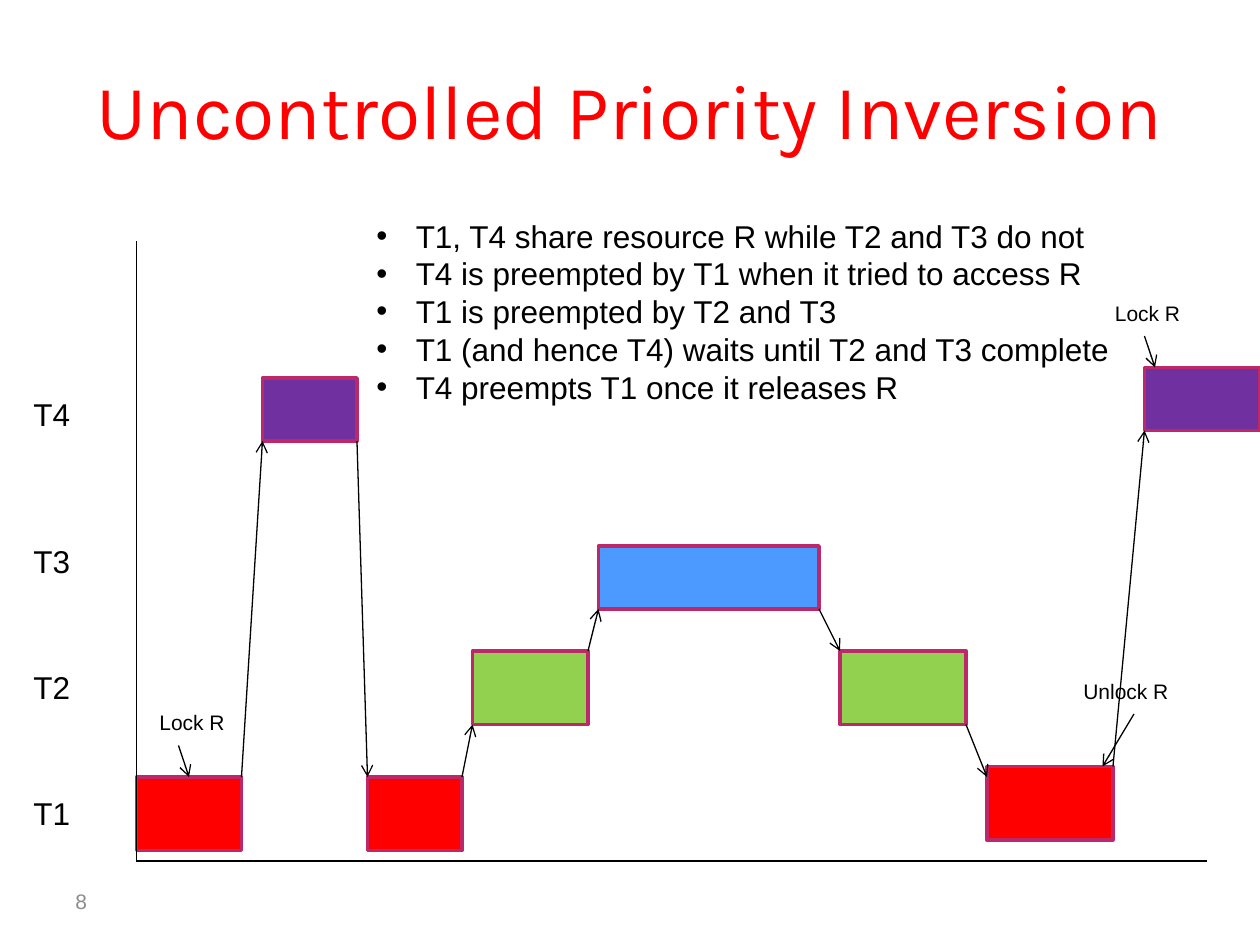
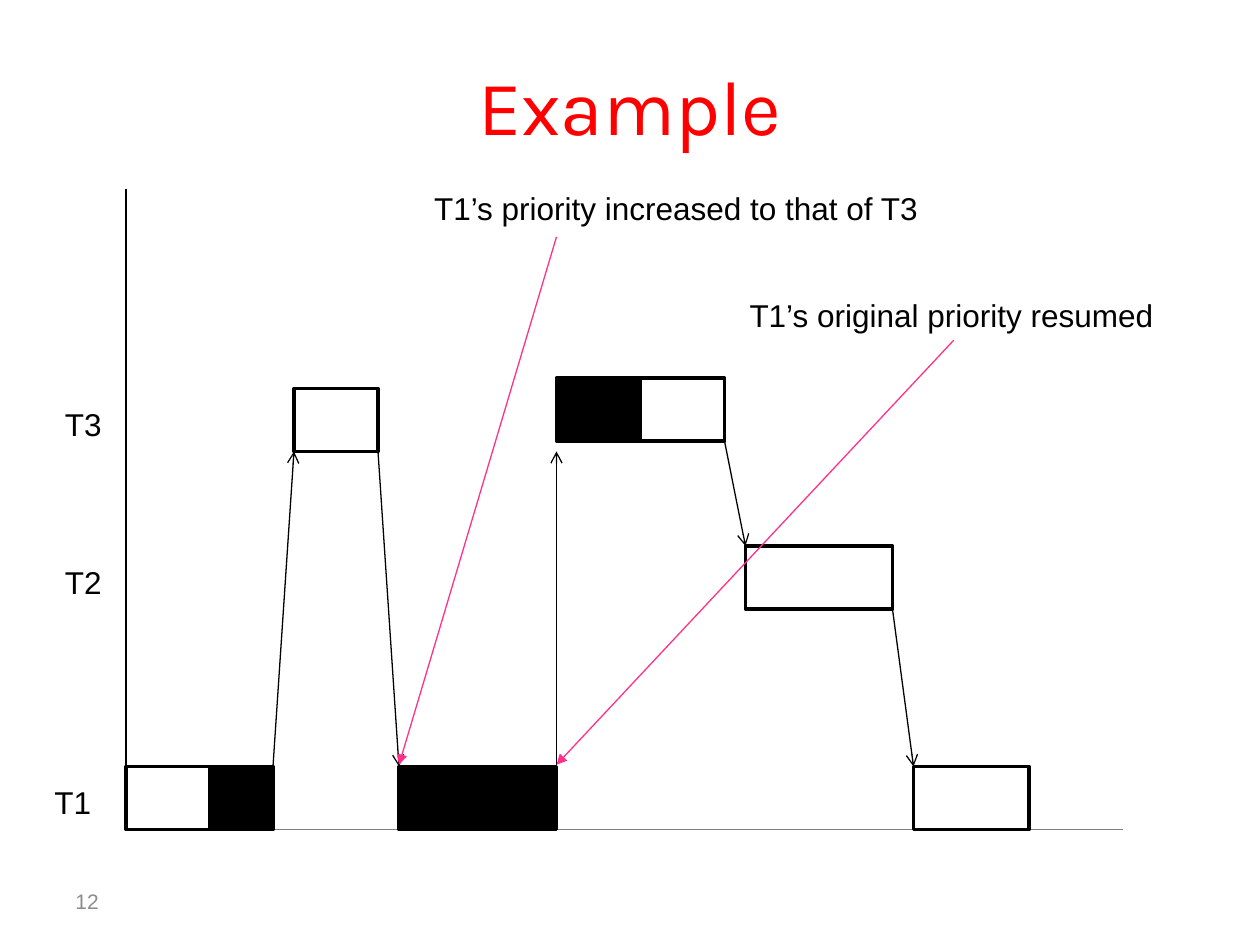
import pptx
import pptx.dml.color
import pptx.enum.shapes
import pptx.enum.text
import pptx.oxml
import pptx.oxml.ns
import pptx.util

Pt = pptx.util.Pt
rgb = pptx.dml.color.RGBColor.from_string
align = pptx.enum.text.PP_ALIGN
anchor = pptx.enum.text.MSO_ANCHOR
rect = pptx.enum.shapes.MSO_SHAPE.RECTANGLE
straight = pptx.enum.shapes.MSO_CONNECTOR.STRAIGHT

BLACK, WHITE, GREY = "000000", "FFFFFF", "8C8C8C"
RED, PURPLE, BLUE, GREEN = "FF0000", "7030A0", "4C99FF", "92D050"
ROSE, PINK = "BD2968", "FE3288"


def write(slide, spot, lines, size=18, font="Arial", color=BLACK,
          mid=False, wrap=True):
    """Add a text box at spot (left, top, width, height), one paragraph a line."""
    frame = slide.shapes.add_textbox(*map(Pt, spot)).text_frame
    frame.word_wrap = wrap
    if mid:
        frame.vertical_anchor = anchor.MIDDLE
    for i, line in enumerate(lines):
        para = frame.paragraphs[0] if i == 0 else frame.add_paragraph()
        run = para.add_run()
        run.text = line
        run.font.size = Pt(size)
        run.font.name = font
        run.font.color.rgb = rgb(color)
    return frame


def link(slide, start, end, color=BLACK, head=None):
    """Draw a thin line from start to end, with an arrowhead if head is named."""
    line = slide.shapes.add_connector(straight, *map(Pt, start + end))
    line.line.color.rgb = rgb(color)
    line.line.width = Pt(0.75)
    if head:
        tail = pptx.oxml.parse_xml(
            f'<a:tailEnd {pptx.oxml.ns.nsdecls("a")} type="{head}"/>')
        line.line._get_or_add_ln().append(tail)
    line._element.spPr.append(pptx.oxml.parse_xml(
        f'<a:effectLst {pptx.oxml.ns.nsdecls("a")}/>'))
    return line


# Tasks run in time order: left, top, width, height, fill, and how far
# below the usual corner the incoming arrow lands.
pages = [
    dict(title="Uncontrolled Priority Inversion", top=21.6, number="8",
         edge=ROSE, axis=(78, 138), base=(690, 492), ink=BLACK, wrap=True,
         names=[("T1", 12, 450), ("T2", 12, 378), ("T3", 12, 306),
                ("T4", 12, 222)],
         tasks=[(78, 444, 60, 42, RED, 0), (150, 216, 54, 36, PURPLE, 0),
                (210, 444, 54, 42, RED, 0), (270, 372, 66, 42, GREEN, 0),
                (342, 312, 126, 36, BLUE, 0), (480, 372, 72, 42, GREEN, 0),
                (564, 438, 72, 42, RED, 6), (654, 210, 66, 36, PURPLE, 0)]),
    dict(title="Example", top=19.4, number="12",
         edge=BLACK, axis=(72, 108), base=(642, 474), ink="808080", wrap=False,
         names=[("T1", 24, 444), ("T2", 30, 318), ("T3", 30, 228)],
         tasks=[(72, 438, 48, 36, WHITE, 0), (120, 438, 36, 36, BLACK, 0),
                (168, 222, 48, 36, WHITE, 0), (228, 438, 90, 36, BLACK, 0),
                (318, 216, 48, 36, BLACK, 6), (366, 216, 48, 36, WHITE, 0),
                (426, 312, 84, 36, WHITE, 0), (522, 438, 66, 36, WHITE, 0)]),
]

deck = pptx.Presentation()
deck.slide_width, deck.slide_height = Pt(720), Pt(540)
slides, firsts = [], []

for page in pages:
    slide = deck.slides.add_slide(deck.slide_layouts[6])
    slides.append(slide)
    title = write(slide, (36, page["top"], 648, 81), [page["title"]], 44,
                  "Karla", RED, mid=True)
    title.paragraphs[0].alignment = align.CENTER
    write(slide, (36, 500.5, 168, 28.8), [page["number"]], 12,
          color=GREY, mid=True)

    left, top = page["axis"]
    right, floor = page["base"]
    link(slide, (left, floor), (right, floor), page["ink"])

    boxes = []
    for x, y, wide, high, fill, drop in page["tasks"]:
        box = slide.shapes.add_shape(rect, Pt(x), Pt(y), Pt(wide), Pt(high))
        box.shadow.inherit = False
        box.fill.solid()
        box.fill.fore_color.rgb = rgb(fill)
        box.line.color.rgb = rgb(page["edge"])
        box.line.width = Pt(2)
        boxes.append(box)
    firsts.append(boxes[0])
    link(slide, (left, top), (left, floor))

    # Each switch leaves by the near right corner and enters by the near left one.
    for old, new in zip(page["tasks"], page["tasks"][1:]):
        x, y, wide, high = old[:4]
        nx, ny, _, tall, _, drop = new
        if ny < y:
            link(slide, (x + wide, y), (nx, ny + tall + drop), head="arrow")
        elif ny > y:
            link(slide, (x + wide, y + high), (nx, ny + drop), head="arrow")

    for name, x, y in page["names"]:
        write(slide, (x, y, 60 if page["wrap"] else 36, 29), [name],
              wrap=page["wrap"])

# Uncontrolled inversion: lock events and the bullet list
slide = slides[0]
events = [("Lock R", (84, 402), 54, (102, 426), (108, 444)),
          ("Unlock R", (612, 384), 72, (648, 408), (630, 438)),
          ("Lock R", (630, 168), 54, (654, 192), (660, 210))]
marks = []
for label, (x, y), wide, start, end in events:
    write(slide, (x, y, wide, 21.6), [label], 12)
    marks.append(link(slide, start, end, head="arrow"))
marks[0].end_connect(firsts[0], 0)

notes = write(slide, (208, 120.2, 437, 116.6), [
    "T1, T4 share resource R while T2 and T3 do not",
    "T4 is preempted by T1 when it tried to access R",
    "T1 is preempted by T2 and T3",
    "T1 (and hence T4) waits until T2 and T3 complete",
    "T4 preempts T1 once it releases R"], wrap=False)
for para in notes.paragraphs:
    props = para._p.get_or_add_pPr()
    props.set("marL", str(Pt(22.5)))
    props.set("indent", str(Pt(-22.5)))
    for tag in ('buFont {} typeface="Arial"', 'buChar {} char="•"'):
        props.append(pptx.oxml.parse_xml(
            "<a:" + tag.format(pptx.oxml.ns.nsdecls("a")) + "/>"))

# Example: where the priority of T1 changes
slide = slides[1]
shifts = [("T1’s priority increased to that of T3", (241, 104.4), 294,
           (318, 135.4), (228, 437)),
          ("T1’s original priority resumed", (421.2, 165.6), 248,
           (545, 194.4), (318, 437))]
for label, (x, y), wide, start, end in shifts:
    write(slide, (x, y, wide, 29), [label], wrap=False)
    link(slide, start, end, PINK, "triangle")

deck.save("out.pptx")
